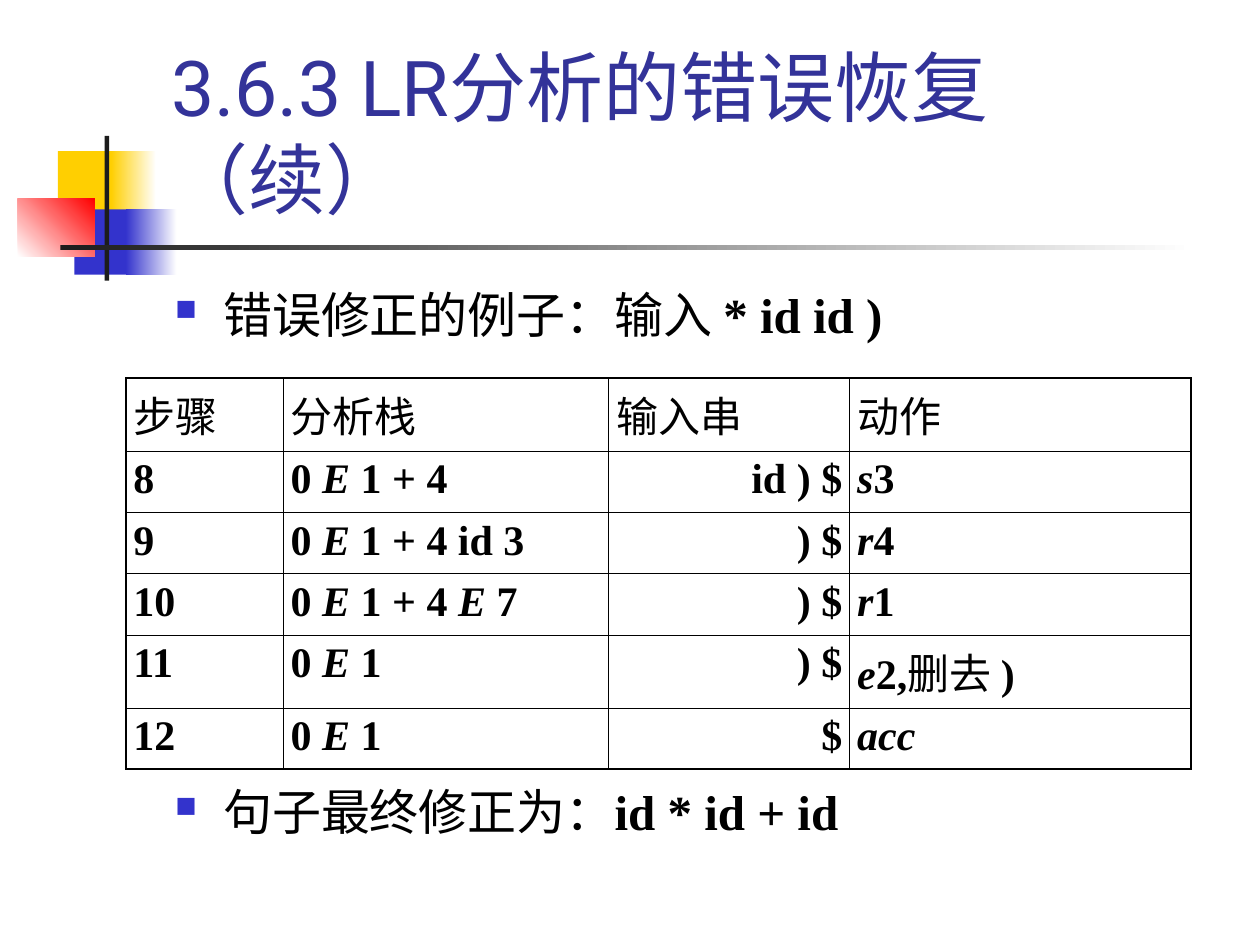
import pptx
import pptx.dml.color
import pptx.enum.shapes
import pptx.enum.text
import pptx.oxml
import pptx.oxml.ns
import pptx.util
from lxml import etree

Cm = pptx.util.Cm
Pt = pptx.util.Pt
ALIGN = pptx.enum.text.PP_ALIGN
ANCHOR = pptx.enum.text.MSO_ANCHOR

SERIF = "Times New Roman"
BLACK, WHITE, DARK = "000000", "FFFFFF", "1C1C1C"
YELLOW, BLUE, RED, NAVY = "FFCF01", "3333CC", "FF0000", "333399"

COLUMN_WIDTHS = [3.17, 6.56, 4.86, 6.88]
ROW_HEIGHTS = [1.47, 1.19, 1.19, 1.19, 1.47, 1.19]
# Underscores enclose italic text, a bar starts a new run
STEPS = [
    ["步骤", "分析栈", "输入串", "动作"],
    ["8", "0 _E_ 1 + 4", "id ) $", "_s_3"],
    ["9", "0 _E_ 1 + 4 id 3", ") $", "_r_4"],
    ["10", "0 _E_ 1 + 4 _E_ 7", ") $", "_r_1"],
    ["11", "0 _E_ 1", ") $", "_e_2,|删去 |)"],
    ["12", "0 _E_ 1", "$", "_acc_"],
]


def color(value):
    return pptx.dml.color.RGBColor.from_string(value)


def write_text(paragraph, text, size, font=SERIF, fill=BLACK, bold=True, align=ALIGN.LEFT):
    """Fill a paragraph from marked text; only plain Latin runs are bold."""
    paragraph.alignment = align
    for index, part in enumerate(text.split("_")):
        for piece in filter(None, part.split("|")):
            run = paragraph.add_run()
            run.text = piece
            run.font.name = font
            run.font.size = Pt(size)
            run.font.bold = bold and piece.isascii()
            run.font.italic = index % 2 == 1
            run.font.color.rgb = color(fill)


def add_block(slide, left, top, width, height, start, end=None, angle=0):
    """Add a borderless rectangle, solid or fading from start to end."""
    shape = slide.shapes.add_shape(
        pptx.enum.shapes.MSO_SHAPE.RECTANGLE, Cm(left), Cm(top), Cm(width), Cm(height))
    shape.shadow.inherit = False
    shape.line.fill.background()
    if end is None:
        shape.fill.solid()
        shape.fill.fore_color.rgb = color(start)
        return
    shape.fill.gradient()
    shape.fill.gradient_angle = angle
    for stop, value in zip(shape.fill.gradient_stops, (start, end)):
        stop.color.rgb = color(value)


def add_decoration(slide, left, top):
    # Coloured squares, each with a fading right part
    add_block(slide, left + 0.81, top + 0.31, 1.22, 1.32, YELLOW)
    add_block(slide, left + 1.88, top + 0.31, 0.91, 1.32, YELLOW, WHITE)
    add_block(slide, left + 1.14, top + 1.48, 1.17, 1.32, BLUE)
    add_block(slide, left + 2.18, top + 1.48, 1.02, 1.32, BLUE, WHITE)
    add_block(slide, left, top + 1.27, 1.55, 1.17, WHITE, RED, angle=45)
    # Crossing bars
    add_block(slide, left + 1.75, top, 0.09, 2.92, DARK)
    add_block(slide, left + 0.86, top + 2.2, 22.86, 0.1, DARK, WHITE)


def add_text_box(slide, left, top, width, height, anchor=ANCHOR.TOP):
    frame = slide.shapes.add_textbox(Cm(left), Cm(top), Cm(width), Cm(height)).text_frame
    frame.word_wrap = True
    frame.vertical_anchor = anchor
    return frame.paragraphs[0]


def add_title(slide, left, top, width, height):
    paragraph = add_text_box(slide, left, top, width, height, ANCHOR.BOTTOM)
    write_text(paragraph, "3.6.3 LR分析的错误恢复（续）", 44, font="Roboto", fill=NAVY, bold=False)


def add_bullet(slide, left, top, width, height, text):
    paragraph = add_text_box(slide, left, top, width, height)
    properties = paragraph._p.get_or_add_pPr()
    properties.set("marL", str(Cm(0.97)))
    properties.set("indent", str(-Cm(0.97)))
    bullet_color = etree.SubElement(properties, pptx.oxml.ns.qn("a:buClr"))
    etree.SubElement(bullet_color, pptx.oxml.ns.qn("a:srgbClr"), val=BLUE)
    etree.SubElement(properties, pptx.oxml.ns.qn("a:buSzPct"), val="60000")
    etree.SubElement(properties, pptx.oxml.ns.qn("a:buChar"), char="■")
    write_text(paragraph, text, 28)


def set_border(cell, side, width):
    line = etree.SubElement(
        cell._tc.get_or_add_tcPr(), pptx.oxml.ns.qn("a:ln" + side), w=str(Pt(width)))
    fill = etree.SubElement(line, pptx.oxml.ns.qn("a:solidFill"))
    etree.SubElement(fill, pptx.oxml.ns.qn("a:srgbClr"), val=BLACK)


def add_steps_table(slide, left, top):
    rows, columns = len(ROW_HEIGHTS), len(COLUMN_WIDTHS)
    table = slide.shapes.add_table(
        rows, columns, Cm(left), Cm(top), Cm(sum(COLUMN_WIDTHS)), Cm(sum(ROW_HEIGHTS))).table
    table.first_row = table.horz_banding = False
    for column, width in zip(table.columns, COLUMN_WIDTHS):
        column.width = Cm(width)
    for row, height in zip(table.rows, ROW_HEIGHTS):
        row.height = Cm(height)

    for r, texts in enumerate(STEPS):
        for c, text in enumerate(texts):
            cell = table.cell(r, c)
            cell.margin_left = cell.margin_right = Cm(0.15)
            cell.margin_top = cell.margin_bottom = Cm(0.11)
            # Thick outer frame, thin inner lines
            outer = {"L": c == 0, "R": c == columns - 1, "T": r == 0, "B": r == rows - 1}
            for side, is_outer in outer.items():
                set_border(cell, side, 1.08 if is_outer else 0.45)
            cell.fill.background()
            is_input = r > 0 and c == 2
            write_text(cell.text_frame.paragraphs[0], text, 24,
                       align=ALIGN.RIGHT if is_input else ALIGN.LEFT)


def main():
    presentation = pptx.Presentation()
    presentation.slide_width, presentation.slide_height = Cm(25.4), Cm(19.05)
    slide = presentation.slides.add_slide(presentation.slide_layouts[6])
    add_decoration(slide, 0.36, 2.74)
    add_title(slide, 3.2, 0.58, 21.64, 4.06)
    add_bullet(slide, 3.28, 5.61, 20.62, 1.6, "错误修正的例子：输入 |* id id )")
    add_steps_table(slide, 2.54, 7.62)
    add_bullet(slide, 3.28, 15.63, 20.62, 1.6, "句子最终修正为：|id * id + id")
    presentation.save("out.pptx")


if __name__ == "__main__":
    main()
